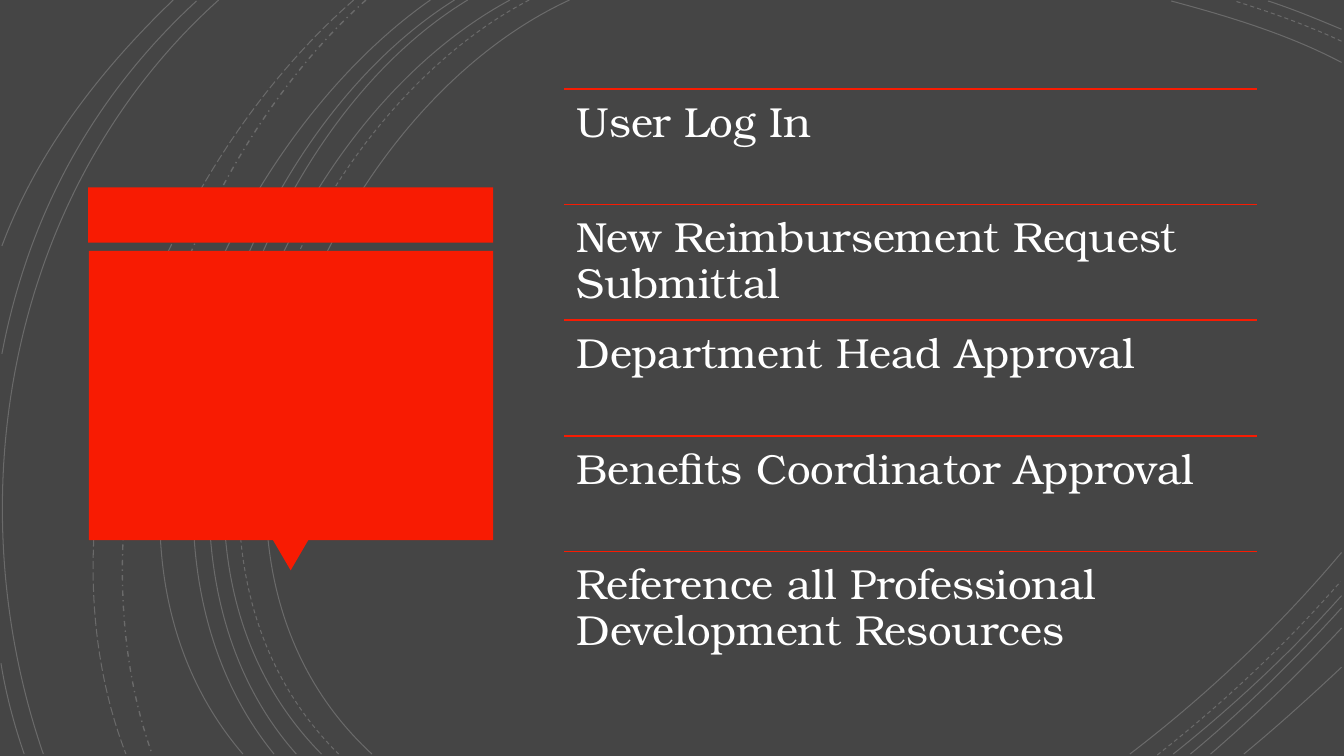
from pptx import Presentation
from pptx.dml.color import RGBColor
from pptx.enum.dml import MSO_LINE as Dash
from pptx.enum.shapes import MSO_CONNECTOR as Conn, MSO_SHAPE as Kind
from pptx.oxml.ns import qn
from pptx.util import Pt
from lxml.etree import SubElement

GREY, RED, WHITE = "454545", "F81B02", "FFFFFF"
FONT = "TeX Gyre Bonum"
FINE = 100  # outline units in a point

# Each arc: start, two control points, end; then dash style and line width
ARCS = [
    # Long sweeps on the left
    ((406.8, 0, 226.8, 82.8, 103, 388.8, 265.7, 538.6), None, 0.75),
    ((378, 0, 205.2, 90, 88.6, 386.6, 241.9, 538.6), Dash.DASH, 0.75),
    ((364.3, 0, 194.4, 91.4, 79.2, 386.6, 229.7, 538.6), None, 0.75),
    ((334.1, 0, 175.7, 95.8, 79.2, 389.5, 211.7, 538.6), None, 0.75),
    ((324.7, 0, 166.3, 99.4, 69.8, 383.8, 195.8, 538.6), None, 0.75),
    ((307.4, 0, 156.2, 105.8, 38.2, 380.9, 173.5, 538.6), None, 0.75),
    ((261.4, 0, 126.7, 119.5, 46.8, 366.5, 108.7, 538.6), Dash.DASH_DOT, 1),
    ((252.7, 0, 113, 121.7, 20.9, 359.3, 90, 538.6), Dash.LONG_DASH, 0.75),
    ((156.2, 0, 7.9, 133.2, -33.1, 352.8, 31, 538.6), None, 0.75),
    # Short arcs at the left edge
    ((140.4, 0.7, 66.2, 69.1, 20.2, 154.1, 1.4, 252.7), None, 0.75),
    ((0.7, 473.8, 4.3, 496.1, 10.1, 517.7, 17.3, 538.6), None, 0.75),
    ((123.8, 0, 72, 49.7, 26.6, 108, 1.4, 175.7), None, 0.75),
    # Top right corner
    ((958.3, 44.6, 920.2, 24.5, 877, 11.5, 836.6, 0.7), None, 0.75),
    ((958.3, 29.5, 933.8, 18, 907.2, 8.6, 882, 0.7), Dash.DASH, 0.75),
    ((958.3, 20.9, 941, 13.7, 923.8, 6.5, 905.8, 0.7), None, 0.75),
    # Bottom right corner
    ((807.1, 538.6, 861.8, 496.8, 913.7, 447.8, 958.3, 394.6), None, 0.75),
    ((826.6, 539.3, 873.4, 502.6, 918, 460.8, 957.6, 415.4), Dash.DASH, 0.75),
    ((838.1, 538.6, 880.6, 504.7, 921.6, 466.6, 958.3, 425.5), None, 0.75),
    ((850.3, 538.6, 888.5, 506.9, 924.5, 471.6, 958.3, 434.2), None, 0.75),
    ((864.7, 538.6, 897.1, 510.5, 928.8, 480.2, 958.3, 448.6), None, 0.75),
    ((888.5, 538.6, 912.2, 519.1, 935.3, 498.2, 958.3, 476.6), None, 0.75),
]
TOPICS = [
    "User Log In",
    "New Reimbursement Request Submittal",
    "Department Head Approval",
    "Benefits Coordinator Approval",
    "Reference all Professional Development Resources",
]


def paint(part, tone):
    """Set a solid colour on a fill."""
    part.solid()
    part.fore_color.rgb = RGBColor.from_string(tone)


def apply(item, form):
    for name, value in form.items():
        setattr(item, name, value)


def curve(arc):
    """Turn the three straight segments into one cubic curve."""
    legs = list(arc._element.iter(qn("a:lnTo")))
    track = legs[0].getparent()
    cubic = SubElement(track, qn("a:cubicBezTo"))
    for leg in legs:
        cubic.append(leg[0])
        track.remove(leg)


def draw_arcs(slide, left, top):
    group = slide.shapes.add_group_shape()
    for pts, dash, width in ARCS:
        spots = [((left + x) * FINE, (top + y) * FINE)
                 for x, y in zip(pts[::2], pts[1::2])]
        pen = group.shapes.build_freeform(*spots[0], scale=Pt(1) / FINE)
        pen.add_line_segments(spots[1:], close=False)
        arc = pen.convert_to_shape()
        curve(arc)
        arc.shadow.inherit = False
        arc.fill.background()
        paint(arc.line.fill, WHITE)
        apply(arc.line, {"width": Pt(width), "dash_style": dash})
        # Faint white: 20 % opaque
        tint = next(arc.line.fill._xPr.iter(qn("a:srgbClr")))
        SubElement(tint, qn("a:alpha"), val="20000")


def draw_sign(slide, left, top, width, height):
    """Red title sign: band, pointer and panel."""
    band, gap, tip = 39.6, 5.8, 21.6
    wide = 25.2
    low = top + height - tip
    deep = height - band - gap - tip
    for kind, x, y, w, h, turn in (
        (Kind.RECTANGLE, left, top, width, band, 0),
        (Kind.ISOSCELES_TRIANGLE, left + (width - wide) / 2, low, wide, tip, 180),
        (Kind.RECTANGLE, left + 0.5, top + band + gap, width - 0.5, deep, 0),
    ):
        part = slide.shapes.add_shape(kind, Pt(x), Pt(y), Pt(w), Pt(h))
        part.rotation = turn
        part.shadow.inherit = False
        paint(part.fill, RED)
        part.line.fill.background()


def draw_list(slide, left, top, width, height):
    """Topics in equal rows, each under a red rule."""
    step = height / len(TOPICS)
    pad = Pt(8.6)
    for n, topic in enumerate(TOPICS):
        y = top + n * step
        rule = slide.shapes.add_connector(
            Conn.STRAIGHT, Pt(left), Pt(y), Pt(left + width), Pt(y))
        paint(rule.line.fill, RED)
        rule.line.width = Pt(1.25)
        SubElement(rule._element.spPr, qn("a:effectLst"))

        box = slide.shapes.add_textbox(Pt(left), Pt(y), Pt(width), Pt(step))
        frame = box.text_frame
        apply(frame, {"word_wrap": True, "margin_left": pad, "margin_right": pad,
                      "margin_top": pad, "margin_bottom": pad})
        para = frame.paragraphs[0]
        para.line_spacing = 0.9
        run = para.add_run()
        run.text = topic
        apply(run.font, {"name": FONT, "size": Pt(30)})
        paint(run.font.fill, WHITE)


deck = Presentation()
apply(deck, {"slide_width": Pt(960), "slide_height": Pt(540)})
slide = deck.slides.add_slide(deck.slide_layouts[6])
paint(slide.background.fill, GREY)
draw_arcs(slide, 0, 0)
draw_sign(slide, 63, 133.8, 289.2, 273.6)
draw_list(slide, 403.2, 63.5, 494.6, 413)
deck.save("out.pptx")
